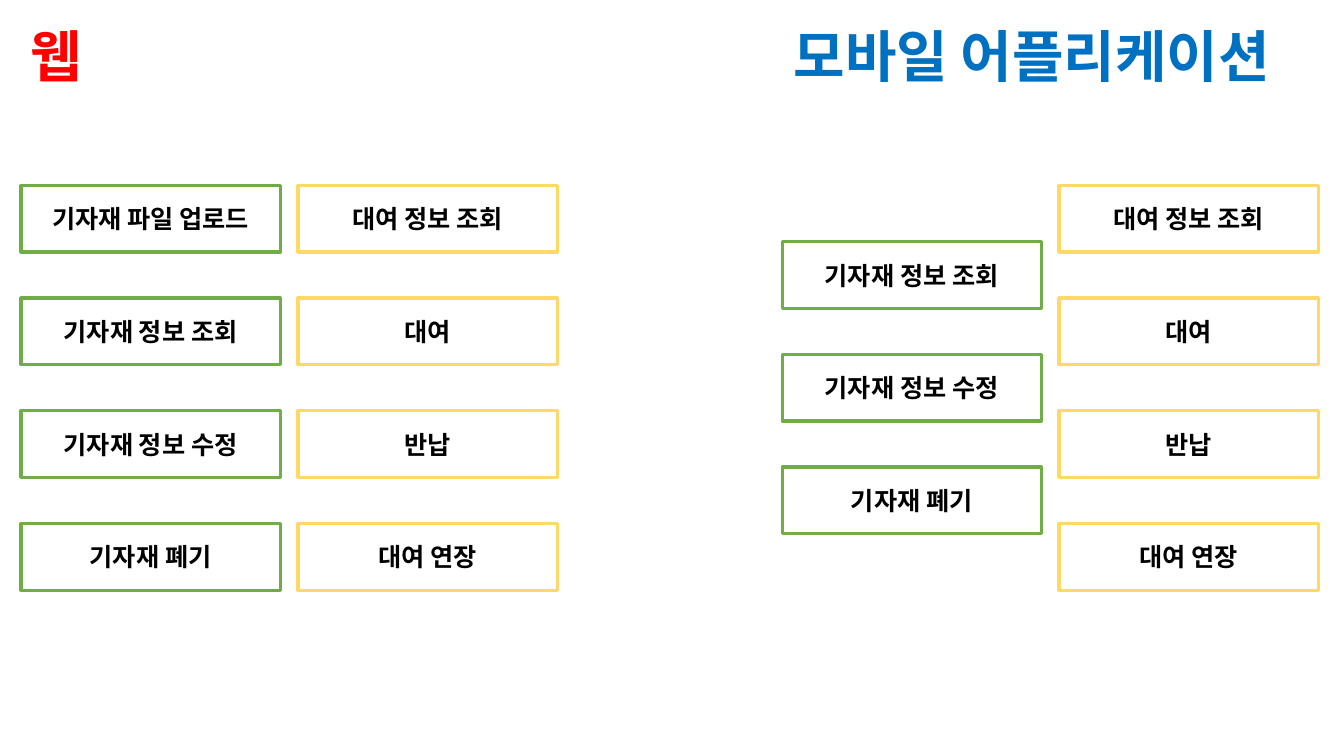
from dataclasses import dataclass
from typing import Any

from lxml.etree import SubElement
from pptx import Presentation
from pptx.dml.color import RGBColor
from pptx.enum.shapes import MSO_SHAPE as ShapeKind
from pptx.enum.text import MSO_ANCHOR as Anchor, MSO_AUTO_SIZE as AutoSize, PP_ALIGN as Align
from pptx.oxml.ns import qn
from pptx.slide import Slide
from pptx.text.text import TextFrame
from pptx.util import Cm, Pt


@dataclass(frozen=True)
class Theme:
    font: str = "Noto Sans CJK KR"
    heading_size: int = 40
    label_size: int = 18
    border_width: float = 2.25
    web: str = "FF0000"
    mobile: str = "0070C0"
    equipment: str = "70AD47"
    rental: str = "FFD966"
    text: str = "000000"
    fill: str = "FFFFFF"


@dataclass(frozen=True)
class Heading:
    text: str
    color: str
    left: float
    width: float


@dataclass(frozen=True)
class Column:
    color: str
    labels: tuple[str, ...]


@dataclass(frozen=True)
class Platform:
    heading: Heading
    left: float
    columns: tuple[Column, ...]


THEME = Theme()
HEADING_TOP, HEADING_HEIGHT = 0.43, 1.96
BOX_WIDTH, BOX_HEIGHT = 6.53, 1.68
COLUMN_STEP, ROW_STEP = 6.98, 2.84
GRID_TOP, GRID_ROWS = 4.67, 4

EQUIPMENT_LABELS = ("기자재 정보 조회", "기자재 정보 수정", "기자재 폐기")
RENTALS = Column(THEME.rental, ("대여 정보 조회", "대여", "반납", "대여 연장"))
PLATFORMS = (
    Platform(
        Heading("웹", THEME.web, 0.53, 1.93),
        0.53,
        (Column(THEME.equipment, ("기자재 파일 업로드", *EQUIPMENT_LABELS)), RENTALS),
    ),
    Platform(
        Heading("모바일 어플리케이션", THEME.mobile, 19.76, 13.84),
        19.71,
        (Column(THEME.equipment, EQUIPMENT_LABELS), RENTALS),
    ),
)


def apply_format(target: Any, values: dict[str, Any]) -> None:
    for name, value in values.items():
        setattr(target, name, value)


def write_text(frame: TextFrame, text: str, size: int, color: str, align: Align) -> None:
    paragraph = frame.paragraphs[0]
    paragraph.alignment = align
    run = paragraph.add_run()
    run.text = text
    apply_format(run.font, {"size": Pt(size), "bold": True, "name": THEME.font})
    run.font.color.rgb = RGBColor.from_string(color)
    SubElement(run.font._element, qn("a:ea"), typeface=THEME.font)


def draw_heading(slide: Slide, heading: Heading) -> None:
    shape = slide.shapes.add_textbox(
        Cm(heading.left), Cm(HEADING_TOP), Cm(heading.width), Cm(HEADING_HEIGHT)
    )
    frame = shape.text_frame
    apply_format(frame, {"word_wrap": False, "auto_size": AutoSize.SHAPE_TO_FIT_TEXT})
    write_text(frame, heading.text, THEME.heading_size, heading.color, Align.LEFT)


def draw_box(slide: Slide, label: str, color: str, left: float, top: float) -> None:
    shape = slide.shapes.add_shape(
        ShapeKind.FLOWCHART_PROCESS, Cm(left), Cm(top), Cm(BOX_WIDTH), Cm(BOX_HEIGHT)
    )
    shape.shadow.inherit = False
    shape.fill.solid()
    shape.fill.fore_color.rgb = RGBColor.from_string(THEME.fill)
    shape.line.color.rgb = RGBColor.from_string(color)
    shape.line.width = Pt(THEME.border_width)
    apply_format(shape.text_frame, {"word_wrap": True, "vertical_anchor": Anchor.MIDDLE})
    write_text(shape.text_frame, label, THEME.label_size, THEME.text, Align.CENTER)


def draw_column(slide: Slide, column: Column, left: float) -> None:
    top = GRID_TOP + (GRID_ROWS - len(column.labels)) * ROW_STEP / 2
    for row, label in enumerate(column.labels):
        draw_box(slide, label, column.color, left, top + row * ROW_STEP)


def draw_platform(slide: Slide, platform: Platform) -> None:
    draw_heading(slide, platform.heading)
    for index, column in enumerate(platform.columns):
        draw_column(slide, column, platform.left + index * COLUMN_STEP)


def main() -> None:
    presentation = Presentation()
    apply_format(presentation, {"slide_width": Cm(33.87), "slide_height": Cm(19.05)})
    blank_layout = presentation.slide_layouts.get_by_name("Blank")
    slide = presentation.slides.add_slide(blank_layout)
    for platform in PLATFORMS:
        draw_platform(slide, platform)
    presentation.save("out.pptx")


main()
